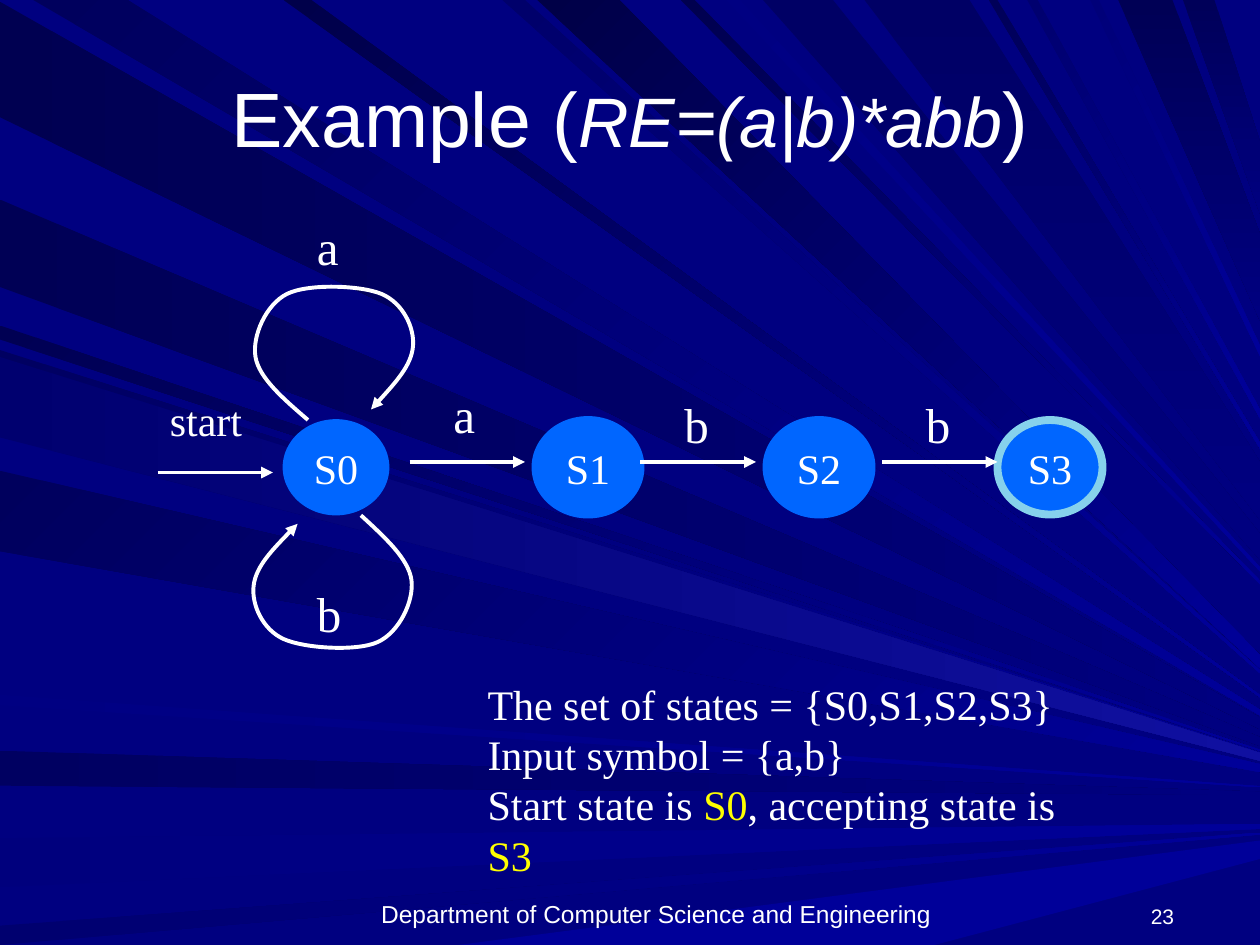
import pptx
import pptx.util
import pptx.dml.color
import pptx.enum.shapes
import pptx.enum.text
import pptx.oxml.ns
from lxml import etree

Pt = pptx.util.Pt
qn = pptx.oxml.ns.qn
ALIGN = pptx.enum.text.PP_ALIGN
ANCHOR = pptx.enum.text.MSO_ANCHOR

COLORS = {"background": "000080", "ray": "000099", "glow": "1010A0", "text": "FFFFFF",
          "state": "0066FF", "accepting": "86D1EC", "highlight": "FFFF00"}
SANS, SERIF = "Arial", "Times New Roman"

RAYS = [
    ("left", "background", 0, [("000051", 1, 67), ("000061", 429, 449), ("000055", 114, 164)]),
    ("left", "ray", 0, [("00007D", 479, 507), ("00006F", 529, 540), ("000082", 397, 403)]),
    ("bottom", "ray", 0, [("000099", 262, 534)]),
    ("top", "ray", 45, [("00005D", 19, 73), ("00006B", 287, 300), ("000047", 307, 354),
                        ("00004F", 389, 397), ("00004A", 162, 178), ("000082", 415, 423)]),
    ("top", "background", 90, [("000065", 436, 476), ("000055", 639, 670), ("000059", 676, 694),
                               ("000065", 494, 554)]),
    ("top", "ray", 45, [("000058", 565, 570), ("00006F", 587, 593), ("000079", 623, 628)]),
    ("left", "ray", 45, [("000053", 186, 194), ("000061", 200, 246), ("00005D", 269, 315)]),
    ("left", "glow", 0, [("00006F", 204, 250)]),
]

LOOP = [(86, 120), (56, 84), (74, 48), (128, 48), (146, 78), (122, 114)]


def rgb(value):
    return pptx.dml.color.RGBColor.from_string(value)


def add_outline(shapes, x, y, points, close):
    pts = [(Pt(x + px), Pt(y + py)) for px, py in points]
    fb = shapes.build_freeform(*pts[0])
    fb.add_line_segments(pts[1:], close=close)
    sp = fb.convert_to_shape()
    sp.shadow.inherit = False
    return sp


def fill_text(tf, lines, size, font, align, anchor, wrap):
    tf.word_wrap = wrap
    tf.vertical_anchor = anchor
    for i, parts in enumerate(lines):
        p = tf.paragraphs[0] if i == 0 else tf.add_paragraph()
        p.alignment = align
        for part in parts:
            r = p.add_run()
            r.text = part
            r.font.size = Pt(size)
            r.font.name = font
            r.font.color.rgb = rgb(COLORS["text"])


def add_text(s, x, y, w, h, lines, size, font, align=ALIGN.LEFT, anchor=ANCHOR.TOP, wrap=True):
    tf = s.shapes.add_textbox(Pt(x), Pt(y), Pt(w), Pt(h)).text_frame
    fill_text(tf, lines, size, font, align, anchor, wrap)
    return tf


def style_arrow(sp):
    sp.line.color.rgb = rgb(COLORS["text"])
    sp.line.width = Pt(2.25)
    etree.SubElement(sp.line._get_or_add_ln(), qn("a:tailEnd"), type="triangle")


def ray_points(edge, a, b, w, h):
    near = [{"left": (0, t), "top": (t, 0), "bottom": (t, h)}[edge] for t in (a, b)]
    apex_x = 840 if edge == "top" and a > 380 else 799
    apex_y = 470 if edge == "bottom" or (edge == "left" and a > 460) else 455
    far = [(w, py + (apex_y - py) * (w - px) / (apex_x - px)) for px, py in near]
    return near + far[::-1]


def add_rays(s, x, y, w, h):
    group = s.shapes.add_group_shape()
    for edge, end, angle, rays in RAYS:
        for start, a, b in rays:
            sp = add_outline(group.shapes, x, y, ray_points(edge, a, b, w, h), True)
            sp.line.fill.background()
            sp.fill.gradient()
            sp.fill.gradient_angle = (360 - angle) % 360
            for stop, color in zip(sp.fill.gradient_stops, (start, COLORS[end])):
                stop.color.rgb = rgb(color)


def add_state(s, x, y, name, line, width):
    sp = s.shapes.add_shape(pptx.enum.shapes.MSO_SHAPE.OVAL, Pt(x), Pt(y), Pt(60), Pt(54))
    sp.shadow.inherit = False
    sp.fill.solid()
    sp.fill.fore_color.rgb = rgb(COLORS["state"])
    sp.line.color.rgb = rgb(COLORS[line])
    sp.line.width = Pt(width)
    fill_text(sp.text_frame, [[name]], 24, SERIF, ALIGN.CENTER, ANCHOR.MIDDLE, False)


def add_transition(s, x, y):
    cx = s.shapes.add_connector(pptx.enum.shapes.MSO_CONNECTOR.STRAIGHT,
                                Pt(x), Pt(y), Pt(x + 66), Pt(y))
    style_arrow(cx)
    etree.SubElement(cx._element.spPr, qn("a:effectLst"))


def midpoint(a, b):
    return (a[0] + b[0]) / 2, (a[1] + b[1]) / 2


def smooth_points(anchors):
    points = []
    for before, here, after in zip(anchors, anchors[1:], anchors[2:]):
        dx, dy = [(n - p) / 6 for p, n in zip(before, after)]
        points += [(here[0] - dx, here[1] - dy), here, (here[0] + dx, here[1] + dy)]
    first, last = anchors[0], anchors[-1]
    return [first, midpoint(first, points[0])] + points + [midpoint(points[-1], last), last]


def add_loop(s, x, y, rotation):
    sp = add_outline(s.shapes, x, y, smooth_points(LOOP), False)
    segments = list(sp._element.iter(qn("a:lnTo")))
    for i in range(0, len(segments), 3):
        curve = etree.Element(qn("a:cubicBezTo"))
        segments[i].addprevious(curve)
        for segment in segments[i:i + 3]:
            curve.append(segment[0])
            segment.getparent().remove(segment)
    sp.fill.background()
    style_arrow(sp)
    sp.rotation = rotation


def add_automaton(s, x, y):
    for name, dx, line, width in [("S0", 72, "state", 1), ("S1", 216, "state", 4.5),
                                  ("S2", 348, "state", 4.5), ("S3", 480, "accepting", 4.5)]:
        add_state(s, x + dx, y + 120, name, line, width)
    for dx, dy in [(0, 150), (144, 144), (276, 144), (414, 144)]:
        add_transition(s, x + dx, y + dy)
    for dy, rotation in [(0, 0), (132, 181.8)]:
        add_loop(s, x, y + dy, rotation)
    add_text(s, x, y + 102, 55.5, 36, [["start"]], 24, SERIF, wrap=False)
    for label, dx, dy in [("a", 162, 96), ("b", 294, 102), ("b", 432, 102),
                          ("a", 84, 0), ("b", 84, 210)]:
        add_text(s, x + dx, y + dy, 30, 41, [[label]], 28, SERIF)


def add_title(s, x, y, w, h):
    tf = add_text(s, x, y, w, h, [["Example (", "RE=(a|b)*abb", ")"]], 44, SANS,
                  ALIGN.CENTER, ANCHOR.MIDDLE)
    r = tf.paragraphs[0].runs[1]
    r.font.size = Pt(40)
    r.font.italic = True


def add_summary(s, x, y, w, h):
    tf = add_text(s, x, y, w, h, [["The set of states = {S0,S1,S2,S3}"], ["Input symbol = {a,b}"],
                                  ["Start state is ", "S0", ", accepting state is ", "S3"]],
                  24, SERIF, wrap=False)
    for r in tf.paragraphs[2].runs[1::2]:
        r.font.color.rgb = rgb(COLORS["highlight"])


def add_footer(s, x, y, h):
    add_text(s, x, y, 486, h, [["Department of Computer Science and Engineering"]], 14, SANS,
             ALIGN.CENTER, ANCHOR.BOTTOM)
    add_text(s, x + 498, y, 48, h, [["23"]], 12, SANS, ALIGN.RIGHT, ANCHOR.BOTTOM)


def main():
    prs = pptx.Presentation()
    prs.slide_width, prs.slide_height = Pt(720), Pt(540)
    s = prs.slides.add_slide(prs.slide_layouts[6])
    s.background.fill.solid()
    s.background.fill.fore_color.rgb = rgb(COLORS["background"])
    add_rays(s, 0, 0, 720, 540)
    add_footer(s, 132, 510, 24)
    add_title(s, 36, 21.6, 648, 90)
    add_automaton(s, 90, 120)
    add_summary(s, 271.5, 384, 370, 93.6)
    prs.save("out.pptx")


if __name__ == "__main__":
    main()
